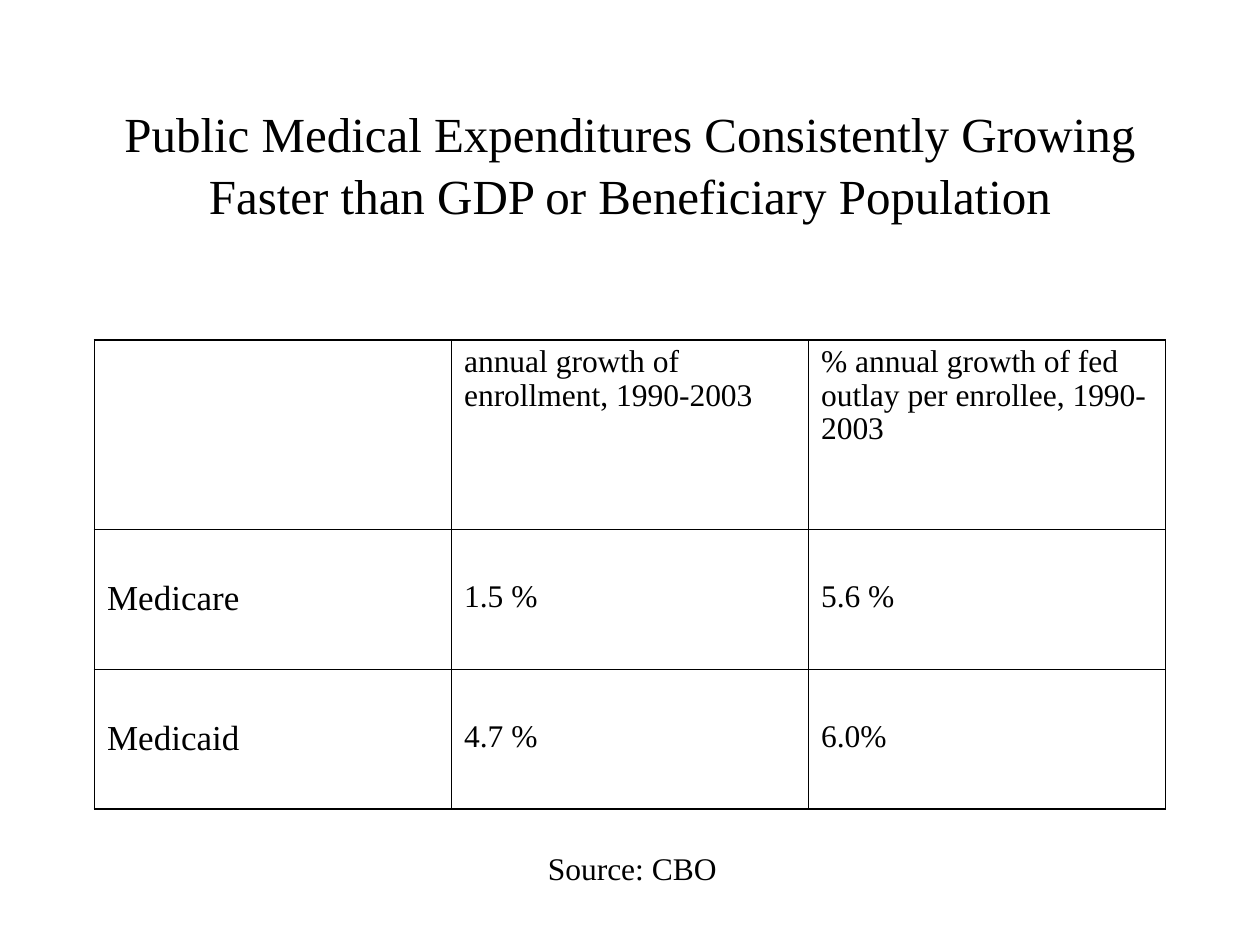
from lxml.etree import SubElement
from pptx import Presentation
from pptx.dml.color import RGBColor
from pptx.enum.text import MSO_ANCHOR, PP_ALIGN
from pptx.oxml.ns import qn
from pptx.util import Pt

# Content
TITLE = ("Public Medical Expenditures Consistently Growing "
         "Faster than GDP or Beneficiary Population")
ROWS = [
    ["", "annual growth of enrollment, 1990-2003",
     "% annual growth of fed outlay per enrollee, 1990-2003"],
    ["Medicare", "1.5 %", "5.6 %"],
    ["Medicaid", "4.7 %", "6.0%"],
]
SOURCE = "Source: CBO"

# Look
BLACK = RGBColor(0, 0, 0)
FONT = "Times New Roman"
LEFT, WIDTH = 54, 612
HEIGHTS = [108, 80, 80]
THICK, THIN = 1.08, 0.45


def style(frame, size, align=PP_ALIGN.LEFT, space=1.0):
    for para in frame.paragraphs:
        para.alignment = align
        para.line_spacing = space
        for font in [para.font] + [run.font for run in para.runs]:
            font.name, font.size = FONT, Pt(size)
            font.color.rgb = BLACK


def add_text(text, left, top, width, height, wrap):
    box = slide.shapes.add_textbox(Pt(left), Pt(top), Pt(width), Pt(height))
    frame = box.text_frame
    frame.word_wrap = wrap
    frame.text = text
    return frame


def set_border(cell, widths):
    props = cell._tc.get_or_add_tcPr()
    for i, (side, width) in enumerate(widths.items()):
        line = props.makeelement(qn("a:" + side), {"w": str(Pt(width))})
        fill = SubElement(line, qn("a:solidFill"))
        SubElement(fill, qn("a:srgbClr"), val=str(BLACK))
        props.insert(i, line)


deck = Presentation()
deck.slide_width, deck.slide_height = Pt(720), Pt(540)
slide = deck.slides.add_slide(deck.slide_layouts[6])

# Title
frame = add_text(TITLE, LEFT, 48, WIDTH, 90, True)
frame.vertical_anchor = MSO_ANCHOR.MIDDLE
style(frame, 28, PP_ALIGN.CENTER, 1.05)

# Table
count = len(ROWS[0])
table = slide.shapes.add_table(len(ROWS), count, Pt(LEFT), Pt(194.4),
                               Pt(WIDTH), Pt(sum(HEIGHTS))).table
table.first_row = table.horz_banding = False
for col in table.columns:
    col.width = Pt(WIDTH / count)
for r, (texts, height) in enumerate(zip(ROWS, HEIGHTS)):
    table.rows[r].height = Pt(height)
    for c, text in enumerate(texts):
        cell = table.cell(r, c)
        cell.text = text
        cell.fill.background()
        cell.margin_top = Pt(28.6 if r else 3.6)
        style(cell.text_frame, 20 if r and c == 0 else 18,
              space=1.0 if r else 0.95)
        set_border(cell, {
            "lnL": THICK if c == 0 else THIN,
            "lnR": THICK if c == count - 1 else THIN,
            "lnT": THICK if r == 0 else THIN,
            "lnB": THICK if r == len(ROWS) - 1 else THIN,
        })

# Source line
style(add_text(SOURCE, 306, 481.7, 111, 28.8, False), 18)

deck.save("out.pptx")
